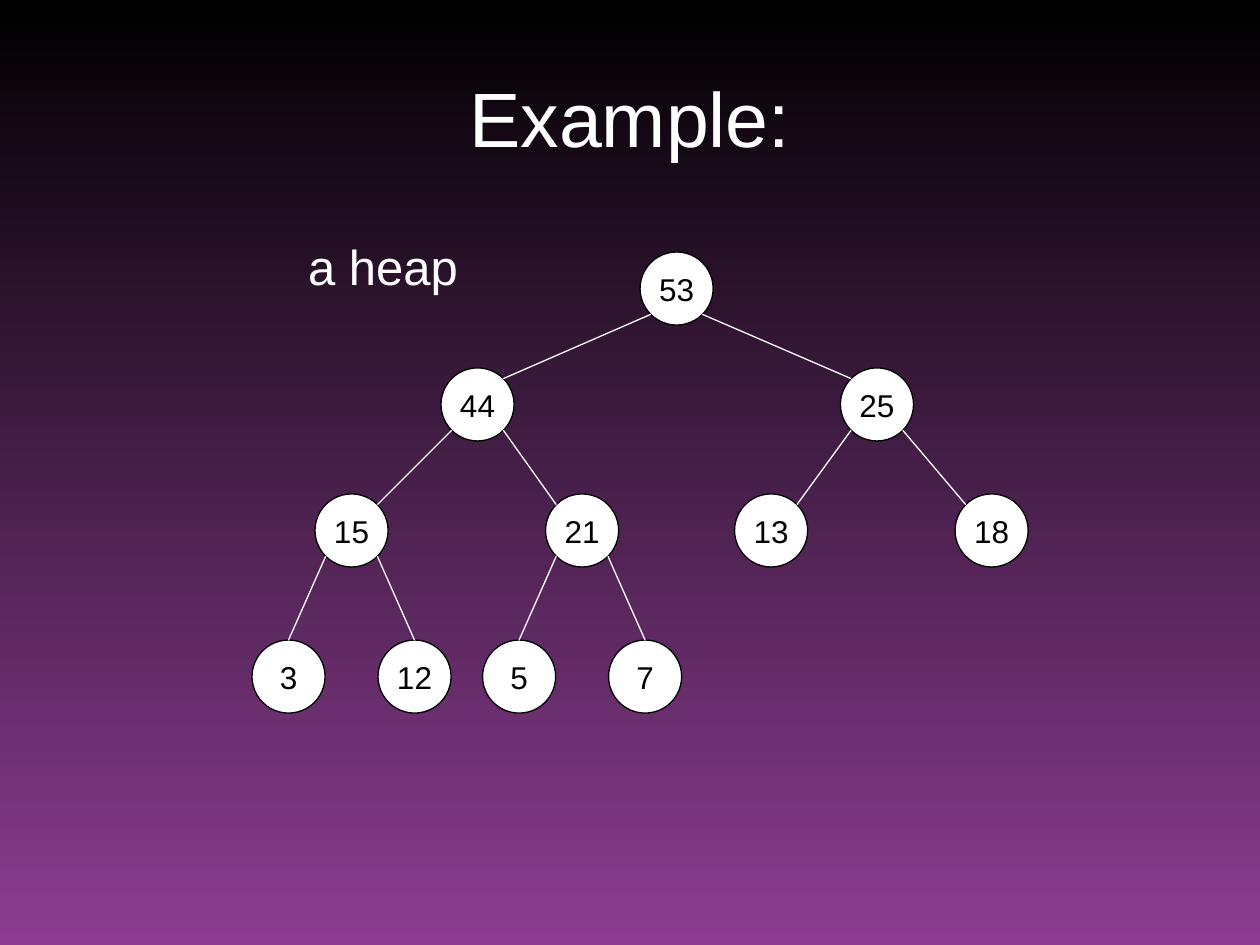
from math import sqrt
from lxml.etree import SubElement
from pptx import Presentation
from pptx.dml.color import RGBColor
from pptx.enum.shapes import MSO_CONNECTOR, MSO_SHAPE
from pptx.enum.text import MSO_ANCHOR, MSO_AUTO_SIZE, PP_ALIGN
from pptx.oxml.ns import qn
from pptx.util import Inches, Pt

DIAMETER = 0.58
INSET = DIAMETER * (1 - 1 / sqrt(2)) / 2
LEVEL_TOPS = [2, 2.92, 3.92, 5.08]
HEAP = [
    [(53, 5.08)],
    [(44, 3.5), (25, 6.67)],
    [(15, 2.5), (21, 4.33), (13, 5.83), (18, 7.58)],
    [(3, 2), (12, 3), (5, 3.83), (7, 4.83)],
]


def rgb(value):
    return RGBColor.from_string(value)


class Deck:
    font = "Arial"
    light = "FFFFFF"
    dark = "000000"
    line_width = 0.75

    def __init__(self, prs):
        self.s = prs.slides.add_slide(prs.slide_layouts[6])

    def background(self, *colors):
        fill = self.s.background.fill
        fill.gradient()
        fill.gradient_angle = 270
        for stop, color in zip(fill.gradient_stops, colors):
            stop.color.rgb = rgb(color)

    def set_text(self, sp, text, size, color, anchor):
        tf = sp.text_frame
        tf.vertical_anchor = anchor
        p = tf.paragraphs[0]
        p.text = text
        p.alignment = PP_ALIGN.CENTER
        p.font.name = self.font
        p.font.size = Pt(size)
        p.font.color.rgb = rgb(color)
        return tf

    def label(self, text, x, y, w, h, size, anchor=MSO_ANCHOR.TOP):
        sp = self.s.shapes.add_textbox(Inches(x), Inches(y), Inches(w), Inches(h))
        tf = self.set_text(sp, text, size, self.light, anchor)
        tf.word_wrap = True
        return tf

    def node(self, key, x, y):
        sp = self.s.shapes.add_shape(
            MSO_SHAPE.FLOWCHART_CONNECTOR,
            Inches(x), Inches(y), Inches(DIAMETER), Inches(DIAMETER))
        sp.shadow.inherit = False
        sp.fill.solid()
        sp.fill.fore_color.rgb = rgb(self.light)
        sp.line.color.rgb = rgb(self.dark)
        sp.line.width = Pt(self.line_width)
        tf = self.set_text(sp, str(key), 18, self.dark, MSO_ANCHOR.MIDDLE)
        tf.word_wrap = False

    def edge(self, x1, y1, x2, y2):
        line = self.s.shapes.add_connector(
            MSO_CONNECTOR.STRAIGHT,
            Inches(x1), Inches(y1), Inches(x2), Inches(y2))
        line.line.color.rgb = rgb(self.light)
        line.line.width = Pt(self.line_width)
        SubElement(line._element.spPr, qn("a:effectLst"))


def draw_heap(deck):
    near, far = INSET, DIAMETER - INSET
    for level, (row, top) in enumerate(zip(HEAP, LEVEL_TOPS)):
        for i, (key, x) in enumerate(row):
            deck.node(key, x, top)
            if level == 0:
                continue
            parent_x = HEAP[level - 1][i // 2][1]
            start, end = (near, far) if i % 2 == 0 else (far, near)
            drop = near
            if level == len(HEAP) - 1:
                end, drop = DIAMETER / 2, 0
            deck.edge(parent_x + start, LEVEL_TOPS[level - 1] + far,
                      x + end, top + drop)


def main():
    prs = Presentation()
    prs.slide_width, prs.slide_height = Inches(10), Inches(7.5)
    deck = Deck(prs)
    deck.background("000000", "8C3D91")
    deck.label("Example:", 0.5, 0.3, 9, 1.25, 44, MSO_ANCHOR.MIDDLE)
    draw_heap(deck)
    tf = deck.label("a heap", 2, 1.83, 2.08, 0.57, 28)
    tf.auto_size = MSO_AUTO_SIZE.SHAPE_TO_FIT_TEXT
    tf.paragraphs[0].space_before = Pt(17.5)
    prs.save("out.pptx")


if __name__ == "__main__":
    main()
